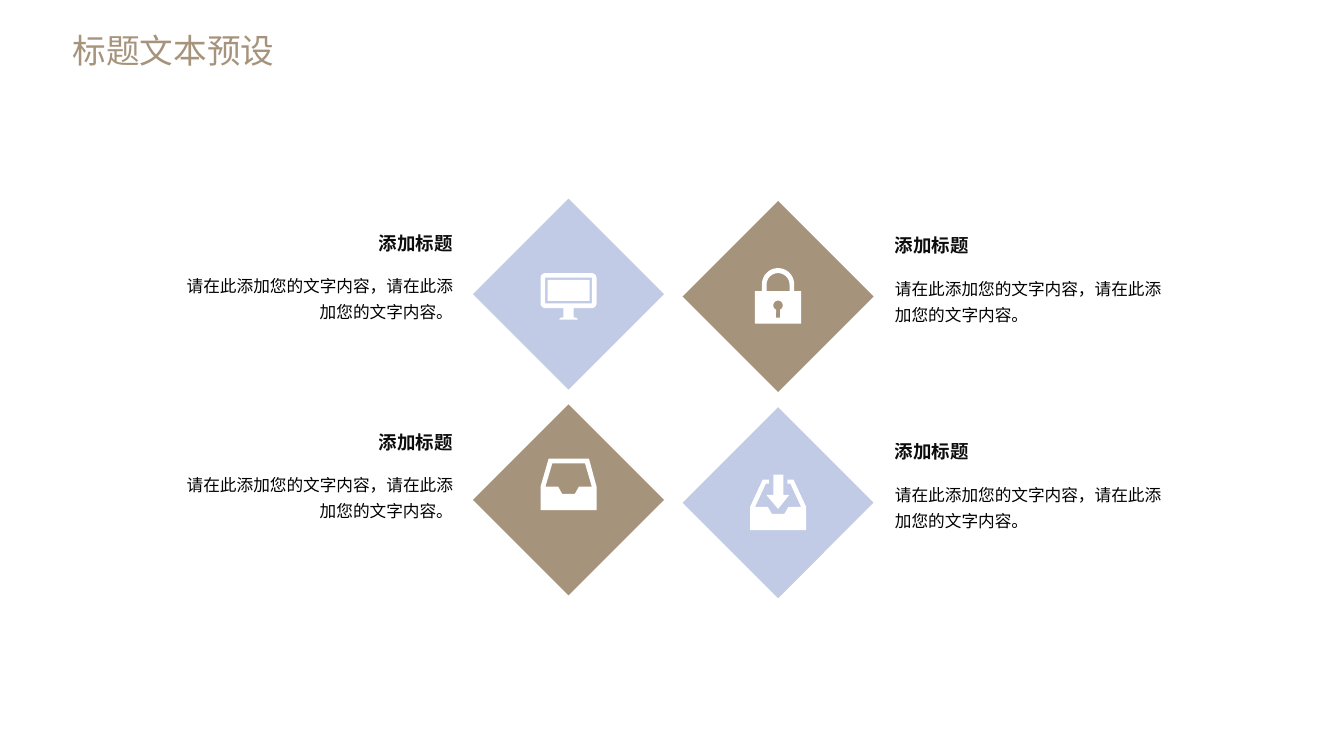
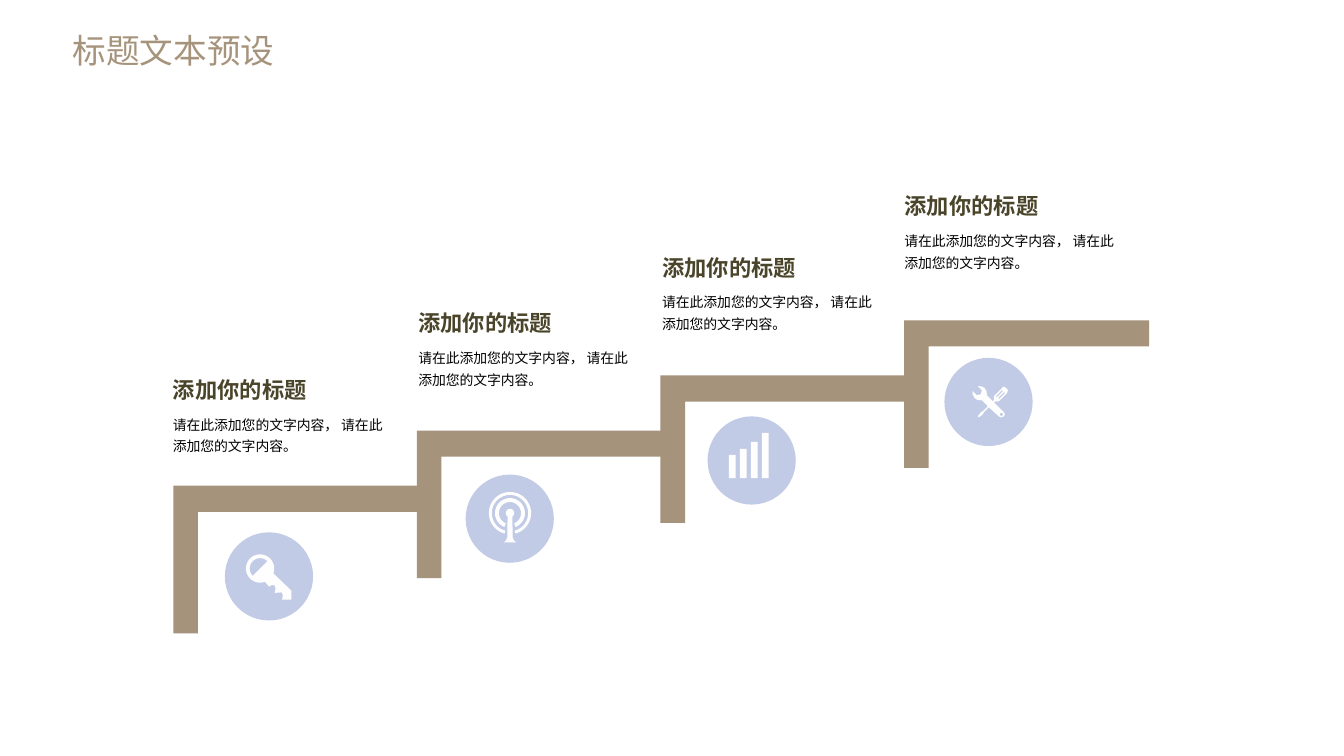
from dataclasses import dataclass
from math import cos, radians, sin

from lxml import etree
from pptx import Presentation
from pptx import util as u
from pptx.dml.color import RGBColor
from pptx.enum import shapes, text
from pptx.oxml.ns import qn

FONT = "Noto Sans CJK SC"
TAUPE, LILAC, WHITE, IVORY = "A6937B", "C1CBE6", "FFFFFF", "FFFEFE"
BLACK, OLIVE = "000000", "4A452A"
LEFT, RIGHT = text.PP_ALIGN.LEFT, text.PP_ALIGN.RIGHT
RECT, OVAL = shapes.MSO_SHAPE.RECTANGLE, shapes.MSO_SHAPE.OVAL

Point = tuple[float, float]
Contour = list[Point]


@dataclass(frozen=True)
class TextStyle:
    size: float
    color: str
    bold: bool = False
    align: int = LEFT
    spacing: float | None = None
    inset: bool = True
    opacity: int = 100


@dataclass(frozen=True)
class Icon:
    x: float
    y: float
    contours: list[Contour]


@dataclass(frozen=True)
class Diamond:
    center_x: float
    center_y: float
    color: str
    text_top: float
    align: int


@dataclass(frozen=True)
class Step:
    text_x: float
    text_top: float
    circle_x: float
    circle_y: float


def rgb(value: str) -> RGBColor:
    return RGBColor.from_string(value)


def arc(x: float, y: float, radius: float, start: int, end: int) -> Contour:
    count = max(2, abs(end - start) // 8)
    angles = [radians(start + (end - start) * i / count) for i in range(count + 1)]
    return [(x + radius * cos(a), y + radius * sin(a)) for a in angles]


def ring(x: float, y: float, outer: float, inner: float, start: int, end: int) -> Contour:
    return arc(x, y, outer, start, end) + arc(x, y, inner, end, start)


def rectangle(x: float, y: float, width: float, height: float) -> Contour:
    return [(x, y), (x + width, y), (x + width, y + height), (x, y + height)]


def paint(shape, color: str):
    shape.shadow.inherit = False
    shape.fill.solid()
    shape.fill.fore_color.rgb = rgb(color)
    shape.line.fill.background()
    return shape


def add_preset(page, kind, x: float, y: float, width: float, height: float, color: str):
    return paint(page.shapes.add_shape(kind, u.Pt(x), u.Pt(y), u.Pt(width), u.Pt(height)), color)


def add_outline(page, icon: Icon, color: str) -> None:
    builder = None
    for contour in icon.contours:
        points = [(u.Pt(icon.x + x), u.Pt(icon.y + y)) for x, y in contour]
        if builder is None:
            builder = page.shapes.build_freeform(*points[0])
        else:
            builder.move_to(*points[0])
        builder.add_line_segments(points[1:], close=True)
    paint(builder.convert_to_shape(), color)


def add_text(page, x: float, y: float, width: float, height: float,
             words: str, style: TextStyle) -> None:
    box = page.shapes.add_textbox(u.Pt(x), u.Pt(y), u.Pt(width), u.Pt(height))
    frame = box.text_frame
    frame.word_wrap = True
    frame.auto_size = text.MSO_AUTO_SIZE.SHAPE_TO_FIT_TEXT
    if not style.inset:
        frame.margin_left = frame.margin_right = frame.margin_top = frame.margin_bottom = u.Pt(0)
    para = frame.paragraphs[0]
    para.alignment = style.align
    if style.spacing:
        para.line_spacing = style.spacing
    span = para.add_run()
    span.text = words
    span.font.size = u.Pt(style.size)
    span.font.bold = style.bold
    span.font.color.rgb = rgb(style.color)
    span.font.name = FONT
    properties = span._r.get_or_add_rPr()
    etree.SubElement(properties, qn("a:ea"), typeface=FONT)
    if style.opacity < 100:
        solid = properties.find(".//" + qn("a:srgbClr"))
        etree.SubElement(solid, qn("a:alpha"), val=str(style.opacity * 1000))


def add_page(deck):
    page = deck.slides.add_slide(deck.slide_layouts[6])
    add_text(page, 3.6, 18, 199.4, 36, "标题文本预设", TextStyle(24, TAUPE, align=RIGHT))
    return page


DIAMOND_SIDE = 96.5
DIAMONDS = [
    Diamond(406.1, 210.2, LILAC, 162, RIGHT),
    Diamond(406.1, 357.1, TAUPE, 304, RIGHT),
    Diamond(555.8, 211.9, TAUPE, 163.5, LEFT),
    Diamond(555.8, 359.1, LILAC, 311, LEFT),
]

LOCK = Icon(539.3, 191.5, [
    [(0, 16.5), (5, 16.5)] + arc(16.5, 11.5, 11.5, 180, 360)
    + [(28, 16.5), (33, 16.5), (33, 39.6), (0, 39.6)],
    [(8.3, 16.5)] + arc(16.5, 11.8, 8.2, 180, 360) + [(24.7, 16.5)],
    arc(16.5, 26.6, 3.4, 115, 425) + [(18, 35.3), (15, 35.3)],
])
DOWNLOAD = Icon(535.8, 339, [
    [(23.8, 14.4), (23.8, 0), (16.6, 0), (16.6, 14.4), (11.5, 14.4), (20, 24.5), (28.1, 14.4)],
    [(31, 3.6), (26.6, 3.6), (26.6, 6.5), (28.8, 6.5), (36.4, 23), (27.4, 23), (24.5, 28),
     (15.5, 28), (12.6, 23), (3.6, 23), (11.2, 6.5), (13.4, 6.5), (13.4, 3.6), (9, 3.6),
     (0, 23), (0, 39.6), (40, 39.6), (40, 23)],
])
MONITOR = Icon(386.1, 195.1, [
    arc(3.5, 3.5, 3.5, 180, 270) + arc(36.5, 3.5, 3.5, 270, 360)
    + arc(36.5, 21.5, 3.5, 0, 90)
    + [(23.6, 25), (23.6, 31.5), (26, 32), (26.6, 33.2), (13.4, 33.2), (14, 32),
       (16.4, 31.5), (16.4, 25)]
    + arc(3.5, 21.5, 3.5, 90, 180),
    rectangle(3.3, 3.2, 33.4, 18.4),
    rectangle(5, 4.9, 30, 15),
])
TRAY = Icon(386.1, 327.6, [
    [(5.8, 0), (34.6, 0), (40, 20), (40, 36.7), (0, 36.7), (0, 20)],
    [(8.4, 3.4), (31.8, 3.4), (36.6, 20), (27.4, 20), (24.5, 25.2), (15.5, 25.2),
     (12.6, 20), (3.5, 20)],
])

STEP_WIDTH, STEP_HEIGHT, BAR, POST = 175, 105.4, 18.7, 17.6
STEP_X, STEP_Y, STEP_RUN, STEP_RISE = 123.8, 347, 174, 39.4
CIRCLE = 63
STEPS = [
    Step(123.5, 268.6, 160.6, 380.2),
    Step(298.8, 221, 332.6, 339),
    Step(473, 181.4, 505.4, 297.4),
    Step(646, 137.5, 674.6, 255.6),
]

KEY = Icon(175.7, 396, [
    arc(10.1, 10.1, 10.1, 70, 380)
    + [(32.4, 25.9), (32.4, 32.4), (25.9, 32.4), (26.4, 29), (25.4, 27.2), (22.3, 27.4),
       (20.5, 27.6), (21.2, 24.5), (20.6, 22.3), (18.7, 21.8), (16.6, 23)],
    arc(10.1, 10.1, 7.4, 135, 315),
])
ANTENNA = Icon(349.2, 351.4, [
    ring(15.1, 15.1, 15.1, 13, 105, 435),
    ring(15.1, 15.1, 10.7, 7.9, 112, 428),
    arc(15.1, 15.1, 3, 125, 415)
    + [(17, 32.4), (18, 34.8), (19.6, 36), (10.6, 36), (12.2, 34.8), (13.2, 32.4)],
])
SIGNAL = Icon(520.6, 341.6, [
    rectangle(7.9 * i, -height, 4.8, height)
    for i, height in enumerate((16.6, 20.9, 25.9, 32.4))
])
TOOLS = Icon(694.8, 275.8, [
    [(25.2, 2.9), (23, 0.7), (21.6, 0.4), (20.9, 1.4), (15.1, 7.2), (15.1, 9.4),
     (15.8, 9.4), (14.4, 10.8), (10.1, 6.5), (10, 4), (8.6, 1.4), (6.5, 0.2), (3.6, 0),
     (6.5, 2.9), (5.8, 5.8), (2.9, 6.5), (0, 3.6), (0, 6), (1.4, 8.6), (3.6, 10),
     (6.5, 10.1), (10.8, 14.4), (7.2, 18), (5.8, 18.7), (3.6, 21.6), (4.3, 22.3),
     (7.2, 20.2), (7.9, 18.7), (11.5, 15.1), (18.7, 21.6), (20.2, 22.3), (22.3, 21.6),
     (23, 20.2), (22.3, 18.7), (15.1, 11.5), (16.6, 10.8), (18.7, 10.8), (24.5, 5)],
    arc(20.5, 20.2, 1.1, 0, 352),
    [(17.3, 7.9), (16.6, 7.2), (20.9, 2.9), (21.6, 3.6)],
    [(18.9, 9.2), (18.2, 8.5), (22.5, 4.2), (23.2, 4.9)],
])


def build_diamonds(deck) -> None:
    page = add_page(deck)
    for item in DIAMONDS:
        half = DIAMOND_SIDE / 2
        square = add_preset(page, RECT, item.center_x - half, item.center_y - half,
                            DIAMOND_SIDE, DIAMOND_SIDE, item.color)
        square.rotation = 45
        heading = TextStyle(13.2, BLACK, bold=True, align=item.align, opacity=95)
        body = TextStyle(11.9, BLACK, align=item.align, spacing=1.3)
        for words, style, offset, width, height in (
            ("添加标题", heading, 0, 86.4, 23),
            ("请在此添加您的文字内容，请在此添加您的文字内容。", body, 27.5, 211, 44.6),
        ):
            x = 632.2 if item.align == LEFT else 330.5 - width
            add_text(page, x, item.text_top + offset, width, height, words, style)
    for icon in (LOCK, DOWNLOAD, MONITOR, TRAY):
        add_outline(page, icon, WHITE)


def build_staircase(deck) -> None:
    page = add_page(deck)
    heading = TextStyle(15.9, OLIVE, bold=True, inset=False)
    body = TextStyle(9.9, BLACK, spacing=1.3, inset=False)
    corner = [(0, 0), (STEP_WIDTH, 0), (STEP_WIDTH, BAR), (POST, BAR),
              (POST, STEP_HEIGHT), (0, STEP_HEIGHT)]
    for i, step in enumerate(STEPS):
        add_preset(page, OVAL, step.circle_x, step.circle_y, CIRCLE, CIRCLE, LILAC)
        add_outline(page, Icon(STEP_X + STEP_RUN * i, STEP_Y - STEP_RISE * i, [corner]), TAUPE)
        add_text(page, step.text_x, step.text_top, 101.5, 19.4, "添加你的标题", heading)
        add_text(page, step.text_x, step.text_top + 25.2, 159, 31,
                 "请在此添加您的文字内容， 请在此添加您的文字内容。", body)
    for icon in (KEY, ANTENNA, SIGNAL, TOOLS):
        add_outline(page, icon, IVORY)


def main() -> None:
    deck = Presentation()
    deck.slide_width, deck.slide_height = u.Pt(960), u.Pt(540)
    build_diamonds(deck)
    build_staircase(deck)
    deck.save("out.pptx")


if __name__ == "__main__":
    main()
